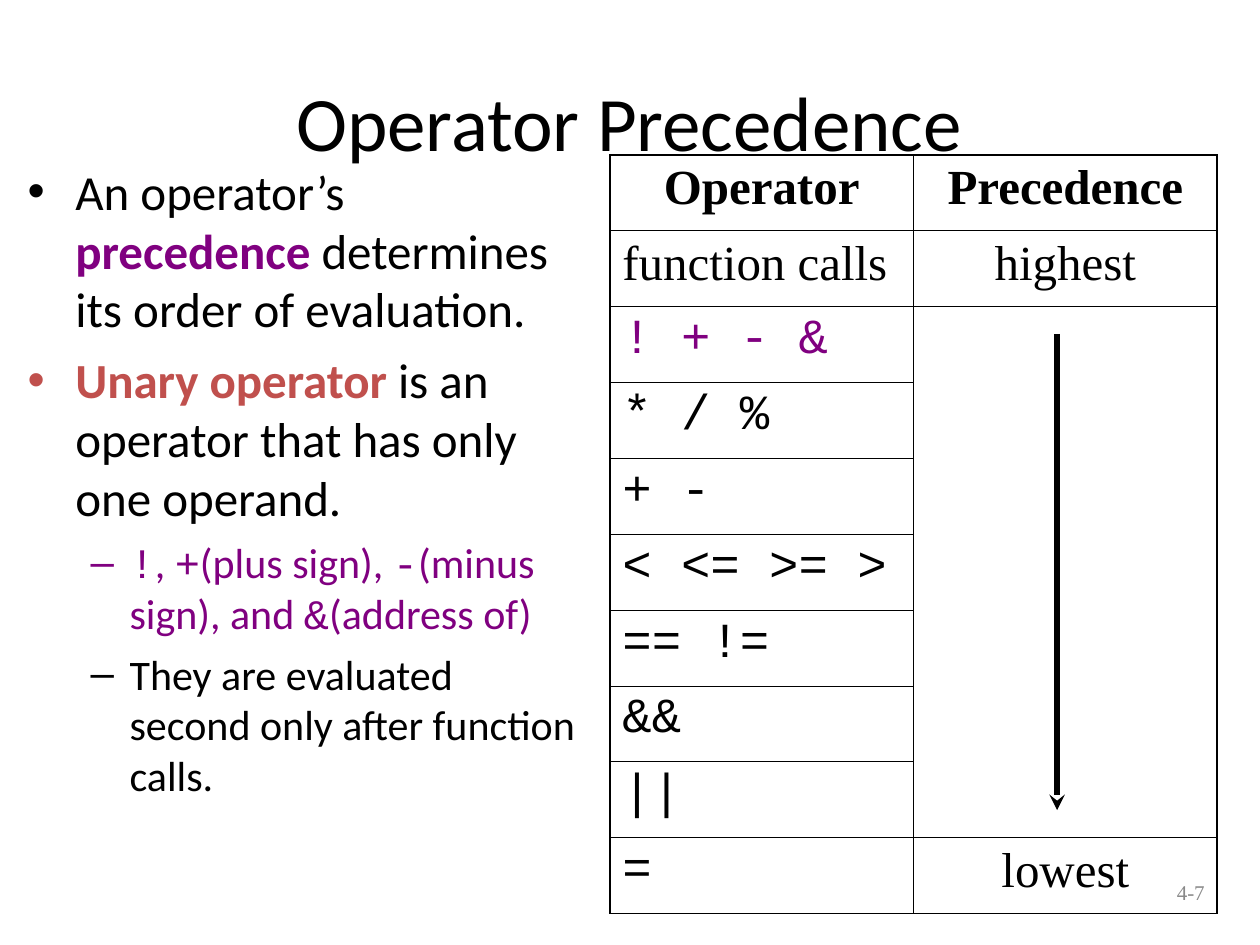
from lxml.etree import SubElement
from pptx import Presentation
from pptx.dml.color import RGBColor
from pptx.enum.shapes import MSO_CONNECTOR
from pptx.enum.text import MSO_ANCHOR, PP_ALIGN
from pptx.oxml.ns import qn
from pptx.util import Inches, Pt

SANS, SERIF, MONO = "Calibri", "Times New Roman", "Courier New"
BLACK, PURPLE, RED, GRAY = "000000", "800080", "C0504D", "898989"


def color(value):
    return RGBColor.from_string(value)


def sub(parent, tag, **attrs):
    return SubElement(parent, qn(tag), attrs)


def apply(target, values):
    for name, value in values.items():
        setattr(target, name, value)


class SlideBuilder:
    outer, inner = 1.08, 0.45
    bullets = {
        0: {"char": "•", "left": 0.38, "hang": 0.38, "before": 7, "size": 28},
        1: {"char": "–", "left": 0.81, "hang": 0.31, "before": 6, "size": 24},
    }

    def __init__(self, s):
        self.s = s

    def place(self, sp, left, top, width, height):
        apply(sp, {"left": Inches(left), "top": Inches(top),
                   "width": Inches(width), "height": Inches(height)})

    def run(self, p, text, size, font=SANS, fill=BLACK, bold=False):
        r = p.add_run()
        r.text = text
        apply(r.font, {"size": Pt(size), "name": font, "bold": bold})
        r.font.color.rgb = color(fill)

    def title(self, text, *box):
        sp = self.s.shapes.title
        self.place(sp, *box)
        tf = sp.text_frame
        apply(tf, {"vertical_anchor": MSO_ANCHOR.MIDDLE, "word_wrap": True})
        p = tf.paragraphs[0]
        p.alignment = PP_ALIGN.CENTER
        self.run(p, text, 44)

    def textbox(self, *box):
        tf = self.s.shapes.add_textbox(*map(Inches, box)).text_frame
        tf.word_wrap = True
        return tf

    def bullet_list(self, items, *box):
        tf = self.textbox(*box)
        for i, (level, fill, runs) in enumerate(items):
            p = tf.add_paragraph() if i else tf.paragraphs[0]
            style = self.bullets[level]
            apply(p, {"level": level, "space_before": Pt(style["before"])})
            pPr = p._p.get_or_add_pPr()
            pPr.set("marL", str(Inches(style["left"])))
            pPr.set("indent", str(-Inches(style["hang"])))
            sub(sub(pPr, "a:buClr"), "a:srgbClr", val=fill)
            sub(pPr, "a:buFont", typeface="Arial")
            sub(pPr, "a:buChar", char=style["char"])
            for text, values in runs:
                self.run(p, text, style["size"], **values)

    def page_number(self, text, *box):
        tf = self.textbox(*box)
        tf.vertical_anchor = MSO_ANCHOR.MIDDLE
        p = tf.paragraphs[0]
        p.alignment = PP_ALIGN.RIGHT
        self.run(p, text, 12, SERIF, GRAY)

    def borders(self, cell, edges):
        tcPr = cell._tc.get_or_add_tcPr()
        for side, on_edge in edges.items():
            width = self.outer if on_edge else self.inner
            ln = sub(tcPr, f"a:ln{side}", w=str(Pt(width)))
            sub(sub(ln, "a:solidFill"), "a:srgbClr", val=BLACK)

    def table(self, rows, merge, *box):
        n_rows, n_cols = len(rows), len(rows[0])
        table = self.s.shapes.add_table(n_rows, n_cols, *map(Inches, box)).table
        apply(table, {"first_row": False, "horz_banding": False})
        first, last = merge
        table.cell(*first).merge(table.cell(*last))
        for i, row in enumerate(rows):
            for j, content in enumerate(row):
                cell = table.cell(i, j)
                if not cell.is_spanned:
                    end = i + cell.span_height if cell.is_merge_origin else i + 1
                    self.borders(cell, {"L": j == 0, "R": j == n_cols - 1,
                                        "T": i == 0, "B": end == n_rows})
                cell.fill.background()
                if content:
                    text, values = content
                    p = cell.text_frame.paragraphs[0]
                    centered = i == 0 or j == 1
                    apply(p, {"space_before": Pt(7),
                              "alignment": PP_ALIGN.CENTER if centered else PP_ALIGN.LEFT})
                    self.run(p, text, 28, **values)

    def arrow(self, *points):
        sp = self.s.shapes.add_connector(MSO_CONNECTOR.STRAIGHT, *map(Inches, points))
        sp.line.width = Pt(3)
        sp.line.color.rgb = color(BLACK)
        sub(sp.line._get_or_add_ln(), "a:tailEnd", type="stealth")
        sub(sp._element.spPr, "a:effectLst")


def main():
    prs = Presentation()
    apply(prs, {"slide_width": Inches(10), "slide_height": Inches(7.5)})
    s = SlideBuilder(prs.slides.add_slide(prs.slide_layouts[5]))

    s.title("Operator Precedence", 0.33, 0.33, 9.33, 1.25)

    words, code = {"fill": PURPLE}, {"fill": PURPLE, "font": MONO}
    s.bullet_list([
        (0, BLACK, [("An operator’s ", {}),
                    ("precedence", {"fill": PURPLE, "bold": True}),
                    (" determines its order of evaluation.", {})]),
        (0, RED, [("Unary operator", {"fill": RED, "bold": True}),
                  (" is an operator that has only one operand.", {})]),
        (1, PURPLE, [("!", code), (", ", words), ("+", code),
                     ("(plus sign), ", words), ("-", code),
                     ("(minus sign), and ", words), ("&", code),
                     ("(address of)", words)]),
        (1, BLACK, [("They are evaluated second only after function calls.", {})]),
    ], 0.12, 1.23, 4.58, 5.98)

    serif, mono = {"font": SERIF}, {"font": MONO}
    header = {"font": SERIF, "bold": True}
    binary = ["* / %", "+ -", "< <= >= >", "== !=", "&&", "||"]
    s.table([
        [("Operator", header), ("Precedence", header)],
        [("function calls", serif), ("highest", serif)],
        [("! + - &", code), None],
        *[[(text, mono), None] for text in binary],
        [("=", mono), ("lowest", serif)],
    ], ((2, 1), (8, 1)), 4.84, 1.23, 4.82, 6.02)

    s.page_number("4-7", 7.58, 6.83, 2.08, 0.5)
    s.arrow(8.39, 2.65, 8.39, 6.43)
    prs.save("out.pptx")


if __name__ == "__main__":
    main()
